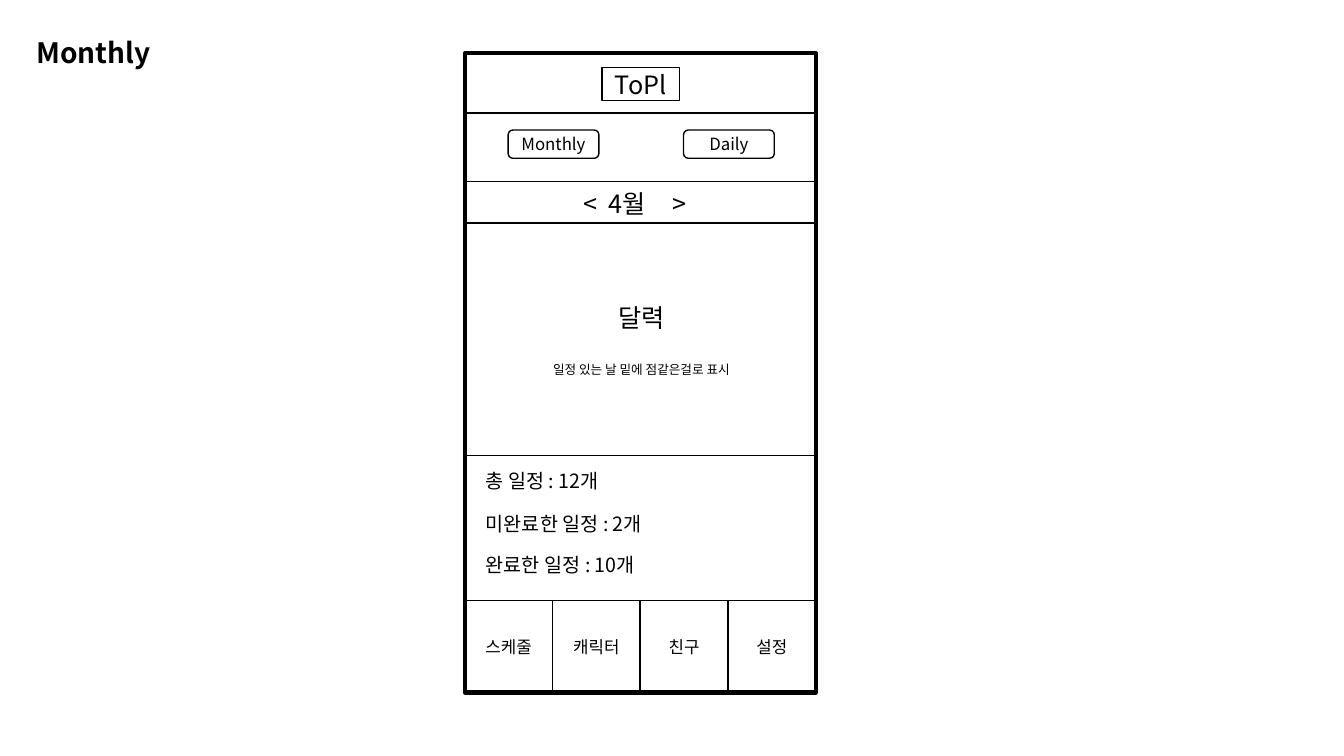
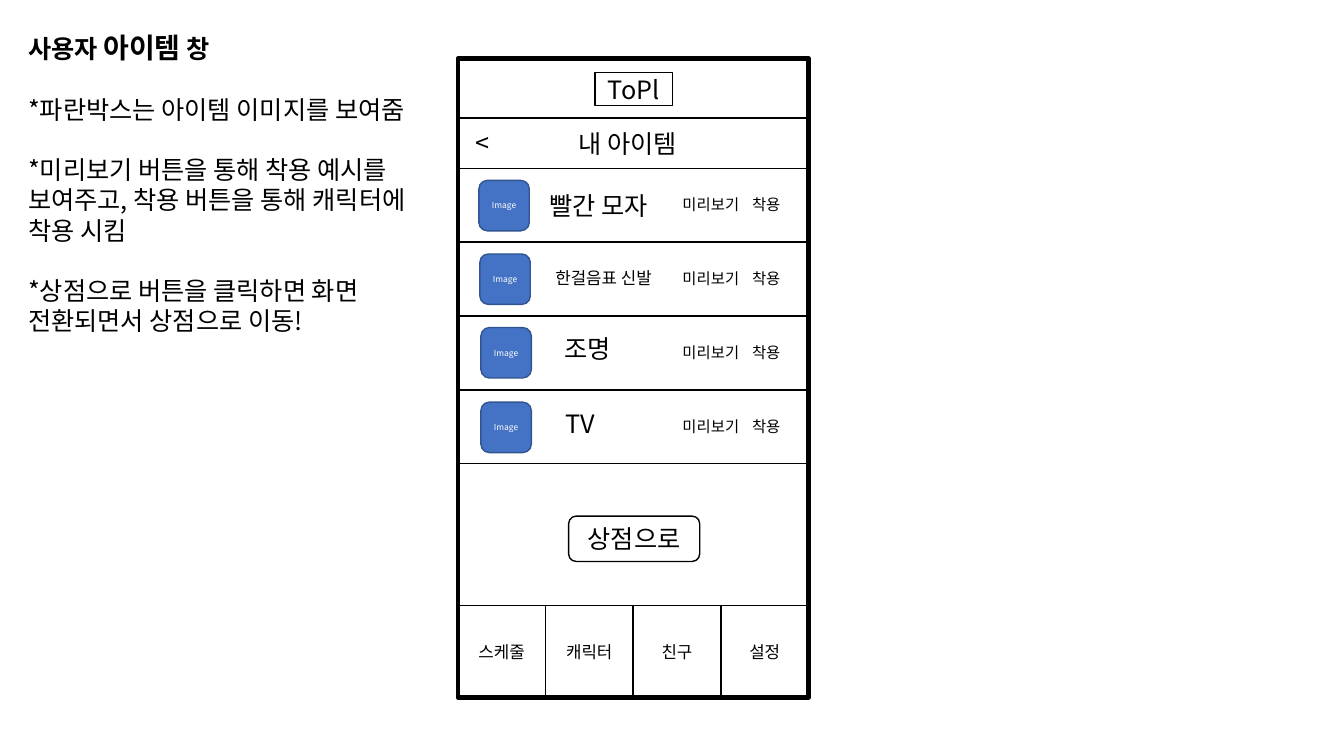
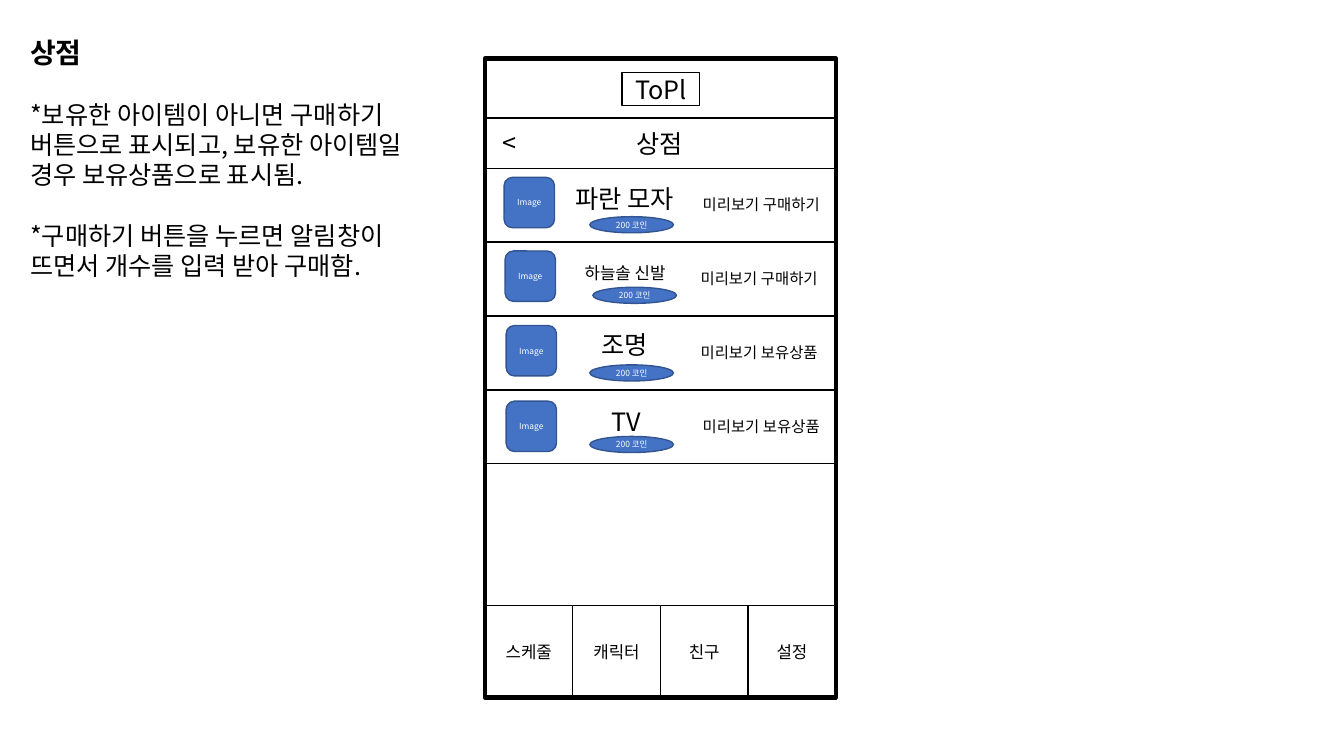
"""Build the three wireframe slides of a schedule and item shop app."""
from dataclasses import dataclass

import lxml.etree
import pptx
import pptx.dml.color
import pptx.enum.shapes
import pptx.enum.text
import pptx.oxml.ns
import pptx.presentation
import pptx.shapes.autoshape
import pptx.slide
import pptx.util

Inches = pptx.util.Inches
Pt = pptx.util.Pt
Shape = pptx.enum.shapes.MSO_SHAPE
Align = pptx.enum.text.PP_ALIGN
Anchor = pptx.enum.text.MSO_ANCHOR
qn = pptx.oxml.ns.qn

COLORS = {"ink": "000000", "accent": "4472C4", "accent_edge": "325491", "light": "FFFFFF"}
FONT = "Noto Sans CJK KR"
LINE_HEIGHT = 1.2
PHONE_WIDTH = 3.48
PHONE_HEIGHT = 6.34
HEADER_HEIGHT = 0.59
TITLE_BAR_HEIGHT = 0.5
NAV_TOP = 5.43
NAV_WIDTH = 0.87
NAV_HEIGHT = 0.91
ROW_HEIGHT = 0.73
ROW_PITCH = 2.2 / 3
NAV_LABELS = ("스케줄", "캐릭터", "친구", "설정")


@dataclass(frozen=True)
class Span:
    text: str
    size: float = 18
    bold: bool = False


@dataclass(frozen=True)
class Para:
    spans: tuple[Span, ...]
    gap: float = 0


@dataclass(frozen=True)
class Phone:
    page: pptx.slide.Slide
    left: float
    top: float


@dataclass(frozen=True)
class Item:
    name: str
    name_left: float
    name_top: float
    name_width: float
    image_left: float
    image_top: float
    action: str
    action_left: float
    size: float = 18
    price_left: float = 0
    price_top: float = 0


def rgb(name: str) -> pptx.dml.color.RGBColor:
    return pptx.dml.color.RGBColor.from_string(COLORS[name])


def line(text: str, size: float = 18, bold: bool = False, gap: float = 0) -> Para:
    return Para((Span(text, size, bold),), gap)


def write(shape: pptx.shapes.autoshape.Shape, paras: list[Para], *, color: str = "ink",
          align: Align = Align.LEFT, anchor: Anchor = Anchor.TOP,
          tabs: tuple[float, ...] = ()) -> None:
    frame = shape.text_frame
    frame.word_wrap = True
    frame.vertical_anchor = anchor
    for index, para in enumerate(paras):
        target = frame.paragraphs[0] if index == 0 else frame.add_paragraph()
        target.alignment = align
        target.line_spacing = Pt(LINE_HEIGHT * max(span.size for span in para.spans))
        target.space_before = Pt(para.gap)
        if tabs:
            stops = lxml.etree.SubElement(target._p.get_or_add_pPr(), qn("a:tabLst"))
            for tab in tabs:
                lxml.etree.SubElement(stops, qn("a:tab"), pos=str(Inches(tab)), algn="l")
        for span in para.spans:
            run = target.add_run()
            run.text = span.text
            run.font.size = Pt(span.size)
            run.font.bold = span.bold
            run.font.color.rgb = rgb(color)
            run.font.name = FONT
            lxml.etree.SubElement(run._r.get_or_add_rPr(), qn("a:ea"), typeface=FONT)


def label(page: pptx.slide.Slide, left: float, top: float, width: float, height: float,
          paras: list[Para], tabs: tuple[float, ...] = ()) -> None:
    box = page.shapes.add_textbox(Inches(left), Inches(top), Inches(width), Inches(height))
    write(box, paras, tabs=tabs)


def box(page: pptx.slide.Slide, left: float, top: float, width: float, height: float,
        paras: list[Para] | None = None, *, kind: Shape = Shape.RECTANGLE,
        weight: float = 1, filled: bool = False) -> None:
    shape = page.shapes.add_shape(kind, Inches(left), Inches(top), Inches(width), Inches(height))
    shape.shadow.inherit = False
    shape.line.width = Pt(weight)
    shape.line.color.rgb = rgb("accent_edge" if filled else "ink")
    if filled:
        shape.fill.solid()
        shape.fill.fore_color.rgb = rgb("accent")
    else:
        shape.fill.background()
    if paras:
        write(shape, paras, color="light" if filled else "ink",
              align=Align.CENTER, anchor=Anchor.MIDDLE)


def add_phone(deck: pptx.presentation.Presentation, left: float, top: float) -> Phone:
    page = deck.slides.add_slide(deck.slide_layouts[6])
    box(page, left, top, PHONE_WIDTH, PHONE_HEIGHT, weight=3)
    box(page, left, top, PHONE_WIDTH, HEADER_HEIGHT)
    box(page, left + 1.36, top + 0.14, 0.77, 0.33, [line("ToPl")])
    for index, text in enumerate(NAV_LABELS):
        box(page, left + index * NAV_WIDTH, top + NAV_TOP, NAV_WIDTH, NAV_HEIGHT,
            [line(text, 12)])
    return Phone(page, left, top)


def add_title_bar(phone: Phone, title: str, left: float, width: float) -> None:
    top = phone.top + HEADER_HEIGHT
    box(phone.page, phone.left, top, PHONE_WIDTH, TITLE_BAR_HEIGHT)
    label(phone.page, phone.left + 0.08, top + 0.04, 0.38, 0.4, [line("<")])
    label(phone.page, left, top + 0.05, width, 0.4, [line(title)])


def add_items(phone: Phone, items: list[Item]) -> None:
    page = phone.page
    for index, item in enumerate(items):
        top = phone.top + HEADER_HEIGHT + TITLE_BAR_HEIGHT + index * ROW_PITCH
        box(page, phone.left + 0.01, top, PHONE_WIDTH, ROW_HEIGHT)
        label(page, item.name_left, item.name_top, item.name_width,
              0.1 + LINE_HEIGHT * item.size / 72, [line(item.name, item.size)])
        label(page, item.action_left, top + 0.22, 1.49, 0.29, [line(item.action, 11)],
              tabs=(0.69,) if "\t" in item.action else ())
        box(page, item.image_left, item.image_top, 0.5, 0.5, [line("Image", 6)],
            kind=Shape.ROUNDED_RECTANGLE, filled=True)
        if item.price_left:
            box(page, item.price_left, item.price_top, 0.83, 0.16, [line("200 코인", 6)],
                kind=Shape.OVAL, filled=True)


def build_monthly(deck: pptx.presentation.Presentation) -> None:
    phone = add_phone(deck, 4.61, 0.53)
    page = phone.page
    for left, text in ((5.04, "Monthly"), (6.78, "Daily")):
        box(page, left, 1.29, 0.9, 0.28, [line(text, 12)], kind=Shape.ROUNDED_RECTANGLE)
    box(page, 4.62, 1.8, PHONE_WIDTH, 0.41)
    label(page, 5.69, 1.82, 1.33, 0.4, [line("<\t4월\t>")], tabs=(0.25, 0.88))
    box(page, 4.62, 2.22, PHONE_WIDTH, 2.3,
        [line("달력"), line("일정 있는 날 밑에 점같은걸로 표시", 9, gap=21.6)])
    for top, text in ((4.6, "총 일정 : 12개"), (5.03, "미완료한 일정 : 2개"),
                      (5.44, "완료한 일정 : 10개")):
        label(page, 4.72, top, 1.95, 0.34, [line(text, 14)])
    label(page, 0.26, 0.3, 1.54, 0.74, [line("Monthly", 20, bold=True)])


def build_items(deck: pptx.presentation.Presentation) -> None:
    phone = add_phone(deck, 4.54, 0.58)
    add_title_bar(phone, "내 아이템", 5.64, 1.3)
    action = "미리보기\t착용"
    add_items(phone, [
        Item("빨간 모자", 5.35, 1.84, 1.3, 4.75, 1.79, action, 6.67),
        Item("한걸음표 신발", 5.41, 2.61, 1.4, 4.76, 2.52, action, 6.67, size=12),
        Item("조명", 5.5, 3.26, 0.71, 4.77, 3.25, action, 6.67),
        Item("TV", 5.51, 4, 0.55, 4.77, 3.99, action, 6.67),
    ])
    box(phone.page, 5.64, 5.12, 1.3, 0.45, [line("상점으로")], kind=Shape.ROUNDED_RECTANGLE)
    title = Para((Span("사용자 ", bold=True), Span("아이템", 20, True), Span(" 창", bold=True)))
    label(phone.page, 0.18, 0.25, 4.34, 3.16, [
        title,
        line("*파란박스는 아이템 이미지를 보여줌", gap=21.6),
        line("*미리보기 버튼을 통해 착용 예시를 보여주고, 착용 버튼을 통해 캐릭터에 착용 시킴",
             gap=21.6),
        line("*상점으로 버튼을 클릭하면 화면 전환되면서 상점으로 이동!", gap=21.6),
    ])


def build_shop(deck: pptx.presentation.Presentation) -> None:
    phone = add_phone(deck, 4.81, 0.58)
    add_title_bar(phone, "상점", 6.21, 0.71)
    buy, owned = "미리보기 구매하기", "미리보기 보유상품"
    add_items(phone, [
        Item("파란 모자", 5.61, 1.77, 1.3, 5, 1.76, buy, 6.87,
             price_left=5.85, price_top=2.15),
        Item("하늘솔 신발", 5.7, 2.56, 1.18, 5.01, 2.49, buy, 6.85, size=12,
             price_left=5.88, price_top=2.85),
        Item("조명", 5.87, 3.22, 0.71, 5.02, 3.23, owned, 6.85,
             price_left=5.85, price_top=3.62),
        Item("TV", 5.97, 3.98, 0.55, 5.02, 3.98, owned, 6.87,
             price_left=5.85, price_top=4.33),
    ])
    label(phone.page, 0.2, 0.3, 4.45, 2.56, [
        line("상점", 20, bold=True),
        line("*보유한 아이템이 아니면 구매하기", gap=21.6),
        line("버튼으로 표시되고, 보유한 아이템일"),
        line("경우 보유상품으로 표시됨."),
        line("*구매하기 버튼을 누르면 알림창이", gap=21.6),
        line("뜨면서 개수를 입력 받아 구매함."),
    ])


def main() -> None:
    deck = pptx.Presentation()
    deck.slide_width, deck.slide_height = Inches(13.33), Inches(7.5)
    build_monthly(deck)
    build_items(deck)
    build_shop(deck)
    deck.save("out.pptx")


main()
